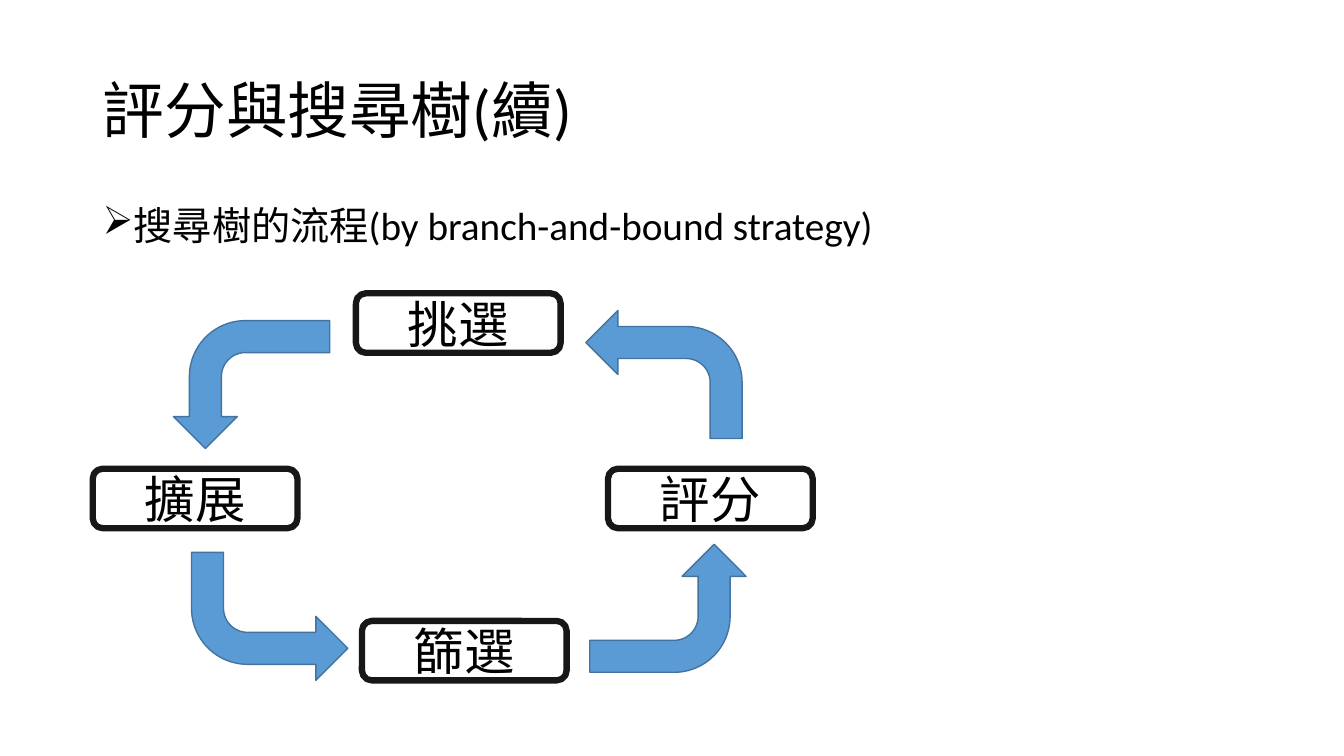
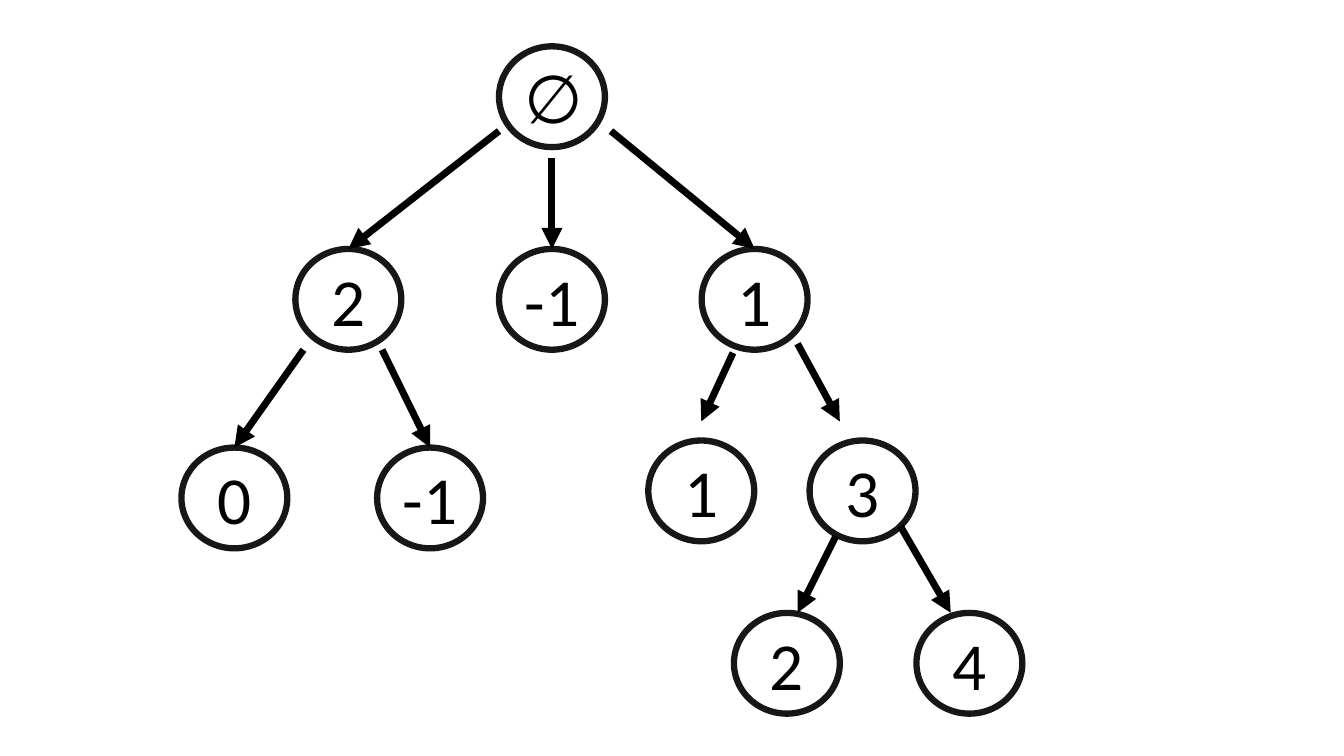
from dataclasses import dataclass
from itertools import cycle
from lxml.etree import SubElement
from pptx import Presentation
from pptx.dml.color import RGBColor as RGB
from pptx.enum.shapes import MSO_CONNECTOR as LINE, MSO_SHAPE as SHAPE
from pptx.enum.text import MSO_ANCHOR as ANCHOR, PP_ALIGN as ALIGN
from pptx.oxml.ns import qn
from pptx.util import Inches, Pt


@dataclass(frozen=True)
class Theme:
    font: str = "Calibri"
    ink: RGB = RGB(0, 0, 0)
    outline: RGB = RGB(0x18, 0x17, 0x17)
    arrow: RGB = RGB(0x5B, 0x9B, 0xD5)
    arrow_edge: RGB = RGB(0x43, 0x73, 0x9E)
    title: int = 44
    body: int = 28
    step: int = 36
    node: int = 48
    outline_width: float = 4.5
    edge_width: int = 5


T = Theme()
prs = Presentation()
prs.slide_width, prs.slide_height = Inches(13.33), Inches(7.5)

# Slide grid: 100 columns by 100 rows
COL, ROW = prs.slide_width / 100, prs.slide_height / 100


def grid(*cells):
    """Turn alternating columns and rows into lengths."""
    return [int(n * unit) for n, unit in zip(cells, cycle((COL, ROW)))]


def write(sp, text, size, align=ALIGN.CENTER, anchor=ANCHOR.MIDDLE, **spacing):
    """Put one formatted paragraph into a shape."""
    tf = sp.text_frame
    tf.word_wrap, tf.vertical_anchor = True, anchor
    p = tf.paragraphs[0]
    for name, value in {"alignment": align, **spacing}.items():
        setattr(p, name, value)
    r = p.add_run()
    r.text = text
    for name, value in {"name": T.font, "size": Pt(size), "bold": False}.items():
        setattr(r.font, name, value)
    r.font.color.rgb = T.ink
    return p


# Slide 1: title and bullet
s = prs.slides.add_slide(prs.slide_layouts[5])
sp = s.shapes.title
sp.left, sp.top, sp.width, sp.height = grid(6.9, 5.33, 86.25, 19.33)
write(sp, "評分與搜尋樹(續)", T.title, ALIGN.LEFT, line_spacing=0.9)

sp = s.shapes.add_textbox(*grid(6.9, 26.67, 86.25, 63.47))
p = write(sp, "搜尋樹的流程(by branch-and-bound strategy)", T.body, ALIGN.LEFT,
          ANCHOR.TOP, line_spacing=0.9, space_before=Pt(10))
pPr = p._p.get_or_add_pPr()
pPr.set("marL", str(Inches(0.25)))
pPr.set("indent", str(-Inches(0.25)))
SubElement(pPr, qn("a:buChar")).set("char", "➢")

# Steps of the cycle: text, left column, top row
outlined = []
STEPS = [("擴展", 6.9, 62), ("評分", 45.24, 62),
         ("篩選", 26.93, 82.13), ("挑選", 26.48, 38.8)]
for text, x, y in STEPS:
    sp = s.shapes.add_shape(SHAPE.ROUNDED_RECTANGLE, *grid(x, y, 15.23, 7.87))
    write(sp, text, T.step)
    outlined.append(sp)

# Bent arrows: rotation, centre column, centre row
LONG, SHORT = grid(11.63, 16.93)
ARROWS = [(90, 18.72, 50.87), (0, 20.07, 81.53),
          (270, 49.7, 80.47), (180, 49.4, 49.53)]
for turn, x, y in ARROWS:
    w, h = (SHORT, LONG) if turn % 180 else (LONG, SHORT)
    cx, cy = grid(x, y)
    sp = s.shapes.add_shape(SHAPE.BENT_ARROW, cx - w // 2, cy - h // 2, w, h)
    sp.rotation = turn
    sp._element.spPr.get_or_add_xfrm().set("flipV", "1")
    sp.shadow.inherit = False
    sp.fill.solid()
    sp.fill.fore_color.rgb = T.arrow
    sp.line.color.rgb, sp.line.width = T.arrow_edge, Pt(1)

# Slide 2: search tree
s = prs.slides.add_slide(prs.slide_layouts[6])
NODE_W, NODE_H = 7.88, 13.33
ROOT, LEVEL_1, LEFT_2, RIGHT_2, LEVEL_3 = 6.13, 32.93, 59.2, 58.27, 81.07

# Nodes: text, centre column, top row, edge start, edge end from the node's top
NODES = [
    ("∅", 41.07, ROOT, None, None),
    ("2", 25.92, LEVEL_1, (37.13, 17.33), (0, 0)),
    ("-1", 41.07, LEVEL_1, (41.07, 20.93), (0, 0)),
    ("1", 56.15, LEVEL_1, (45.46, 17.33), (0, 0)),
    ("0", 17.44, LEFT_2, (22.58, 46.27), (0, 0)),
    ("-1", 32, LEFT_2, (28.43, 46.27), (0, 0)),
    ("1", 52.18, RIGHT_2, (54.54, 46.67), (0, -2.53)),
    ("3", 64.18, RIGHT_2, (59.34, 45.47), (-1.69, -2.53)),
    ("2", 58.55, LEVEL_3, (62.19, 70.93), (0.79, 0)),
    ("4", 72.13, LEVEL_3, (66.99, 69.6), (-1.39, 0)),
]
for text, x, y, start, shift in NODES:
    sp = s.shapes.add_shape(SHAPE.FLOWCHART_CONNECTOR,
                            *grid(x - NODE_W / 2, y, NODE_W, NODE_H))
    write(sp, text, T.node)
    outlined.append(sp)

# Edges lie in front of the nodes
for text, x, y, start, shift in NODES[1:]:
    dx, dy = shift
    cn = s.shapes.add_connector(LINE.STRAIGHT, *grid(*start, x + dx, y + dy))
    cn.line.color.rgb, cn.line.width = T.ink, Pt(T.edge_width)
    spPr = cn._element.spPr
    SubElement(spPr.find(qn("a:ln")), qn("a:tailEnd")).set("type", "triangle")
    SubElement(spPr, qn("a:effectLst"))

# Steps and nodes share one outline
for sp in outlined:
    sp.shadow.inherit = False
    sp.fill.background()
    sp.line.color.rgb, sp.line.width = T.outline, Pt(T.outline_width)

prs.save("out.pptx")
